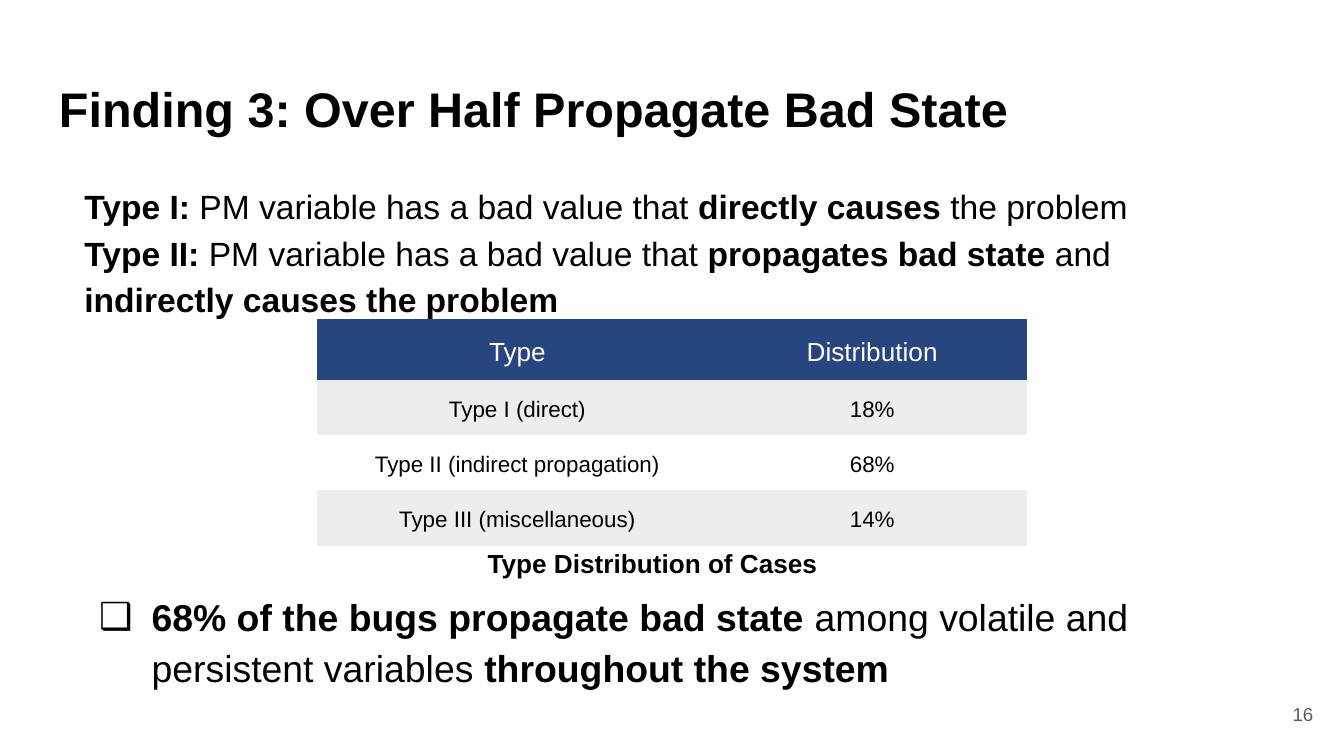
from lxml import etree
from pptx import Presentation
from pptx.dml.color import RGBColor
from pptx.enum.text import MSO_ANCHOR, PP_ALIGN
from pptx.oxml.ns import qn
from pptx.util import Inches, Pt

BLACK = RGBColor(0x00, 0x00, 0x00)
WHITE = RGBColor(0xFF, 0xFF, 0xFF)
GRAY = RGBColor(0x59, 0x59, 0x59)
NAVY = RGBColor(0x27, 0x45, 0x7F)
BAND = RGBColor(0xED, 0xED, 0xED)
LEFT, CENTER, RIGHT = PP_ALIGN.LEFT, PP_ALIGN.CENTER, PP_ALIGN.RIGHT
TOP, MIDDLE, BOTTOM = MSO_ANCHOR.TOP, MSO_ANCHOR.MIDDLE, MSO_ANCHOR.BOTTOM
NO_TABLE_STYLE = "{2D5ABB26-0587-4C30-8999-92F81FD0307C}"


class SlideWriter:
    """Writes Arial text and plain banded tables on one slide, with *bold* markup."""

    def __init__(self, slide, font="Arial", spacing=1.15):
        self.slide = slide
        self.font = font
        self.spacing = spacing

    def style(self, font, size, color, bold=False):
        font.name = self.font
        font.size = Pt(size)
        font.color.rgb = color
        font.bold = bold

    def text(self, box, lines, size, color=BLACK, align=LEFT, anchor=TOP,
             spacing=None, bullet=None):
        frame = self.slide.shapes.add_textbox(*map(Inches, box)).text_frame
        frame.word_wrap = True
        frame.vertical_anchor = anchor
        frame.margin_left = frame.margin_right = Inches(0.1)
        frame.margin_top = frame.margin_bottom = Inches(0.1)
        frame.text = "\n".join([""] * len(lines))
        for paragraph, line in zip(frame.paragraphs, lines):
            paragraph.alignment = align
            paragraph.line_spacing = spacing
            if bullet:
                self.bullet(paragraph, bullet)
            for index, part in enumerate(line.split("*")):
                if part:
                    run = paragraph.add_run()
                    run.text = part
                    self.style(run.font, size, color, bold=index % 2 == 1)

    def bullet(self, paragraph, mark, margin=0.5, hanging=0.39):
        properties = paragraph._p.get_or_add_pPr()
        properties.set("marL", str(Inches(margin)))
        properties.set("indent", str(-Inches(hanging)))
        etree.SubElement(properties, qn("a:buFont")).set("typeface", self.font)
        etree.SubElement(properties, qn("a:buChar")).set("char", mark)

    def table(self, box, rows, widths, heights):
        frame = self.slide.shapes.add_table(len(rows), len(widths), *map(Inches, box))
        next(frame._element.iter(qn("a:tableStyleId"))).text = NO_TABLE_STYLE
        table = frame.table
        for column, width in zip(table.columns, widths):
            column.width = Inches(width)
        for row_index, (values, height) in enumerate(zip(rows, heights)):
            table.rows[row_index].height = Inches(height)
            for column_index, value in enumerate(values):
                self.cell(table.cell(row_index, column_index), value, row_index)

    def cell(self, cell, value, row_index):
        is_header = row_index == 0
        if is_header or row_index % 2:
            cell.fill.solid()
            cell.fill.fore_color.rgb = NAVY if is_header else BAND
        else:
            cell.fill.background()
        cell.vertical_anchor = BOTTOM
        cell.margin_left = cell.margin_right = cell.margin_top = Inches(0.01)
        cell.margin_bottom = Inches(0.1)
        cell.text_frame.text = value
        paragraph = cell.text_frame.paragraphs[0]
        paragraph.alignment = CENTER
        paragraph.line_spacing = self.spacing
        self.style(paragraph.runs[0].font, 14 if is_header else 12,
                   WHITE if is_header else BLACK)


def main():
    deck = Presentation()
    deck.slide_width = Inches(10)
    deck.slide_height = Inches(10) * 9 // 16
    writer = SlideWriter(deck.slides.add_slide(deck.slide_layouts[6]))

    writer.text((0.34, 0.49, 9.32, 0.63),
                ["*Finding 3: Over Half Propagate Bad State*"], 26)
    writer.text((9.27, 5.1, 0.6, 0.43), ["16"], 10, GRAY, RIGHT, MIDDLE)
    writer.text((0.53, 4.27, 8.74, 2.26),
                ["*68% of the bugs propagate bad state* among volatile and "
                 "persistent variables *throughout the system*"],
                20, spacing=writer.spacing, bullet="❑")
    writer.text((3.53, 3.97, 2.73, 0.67), ["*Type Distribution of Cases*"], 14)
    writer.text((0.53, 1.24, 8.64, 1.2),
                ["*Type I:* PM variable has a bad value that *directly causes* the problem",
                 "*Type II:* PM variable has a bad value that *propagates bad state* and "
                 "*indirectly causes the problem*"],
                18, spacing=writer.spacing)

    distribution = [
        ("Type", "Distribution"),
        ("Type I (direct)", "18%"),
        ("Type II (indirect propagation)", "68%"),
        ("Type III (miscellaneous)", "14%"),
    ]
    writer.table((2.36, 2.37, 5.28, 1.69), distribution,
                 widths=(2.98, 2.3), heights=(0.46, 0.41, 0.41, 0.41))
    deck.save("out.pptx")


if __name__ == "__main__":
    main()
